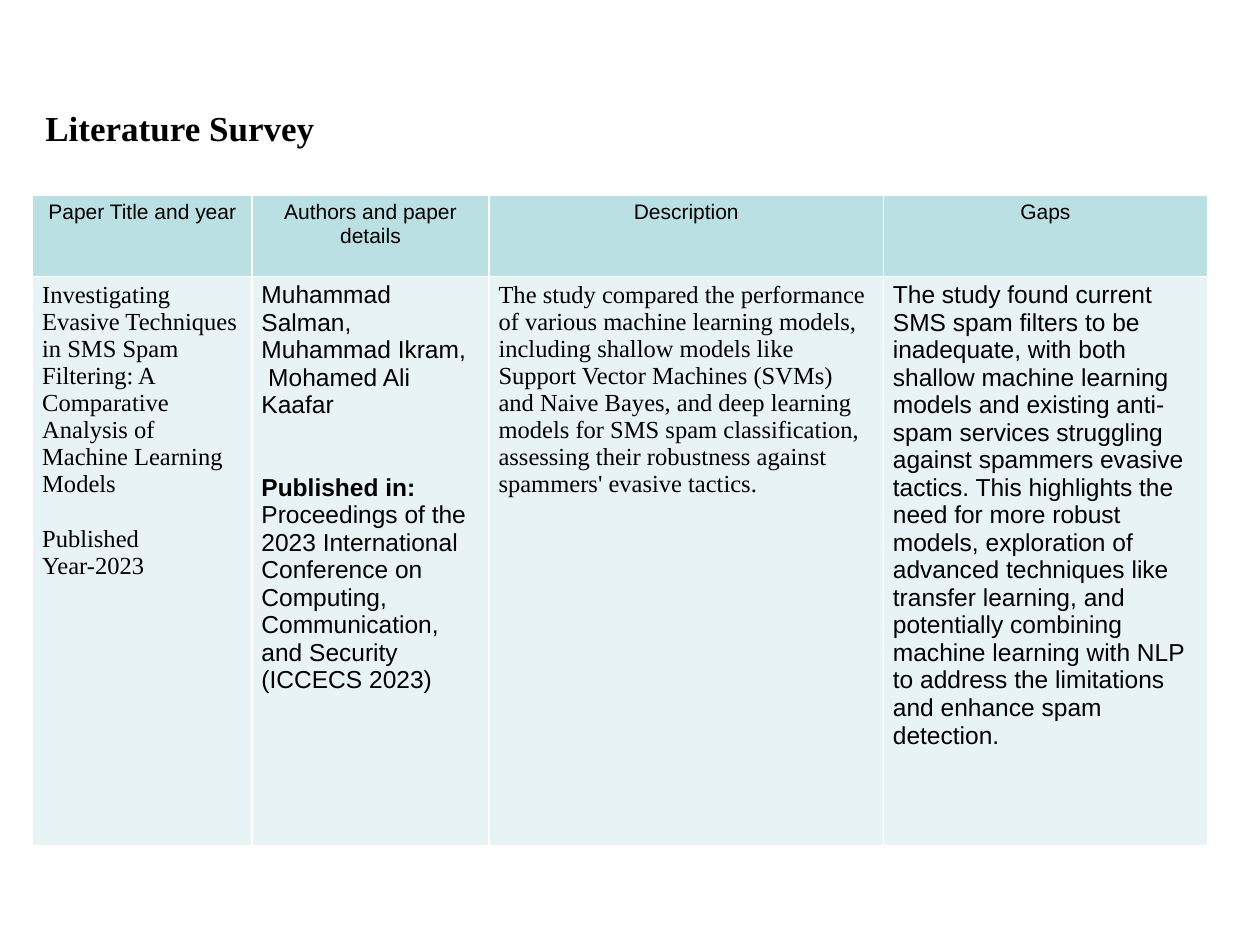
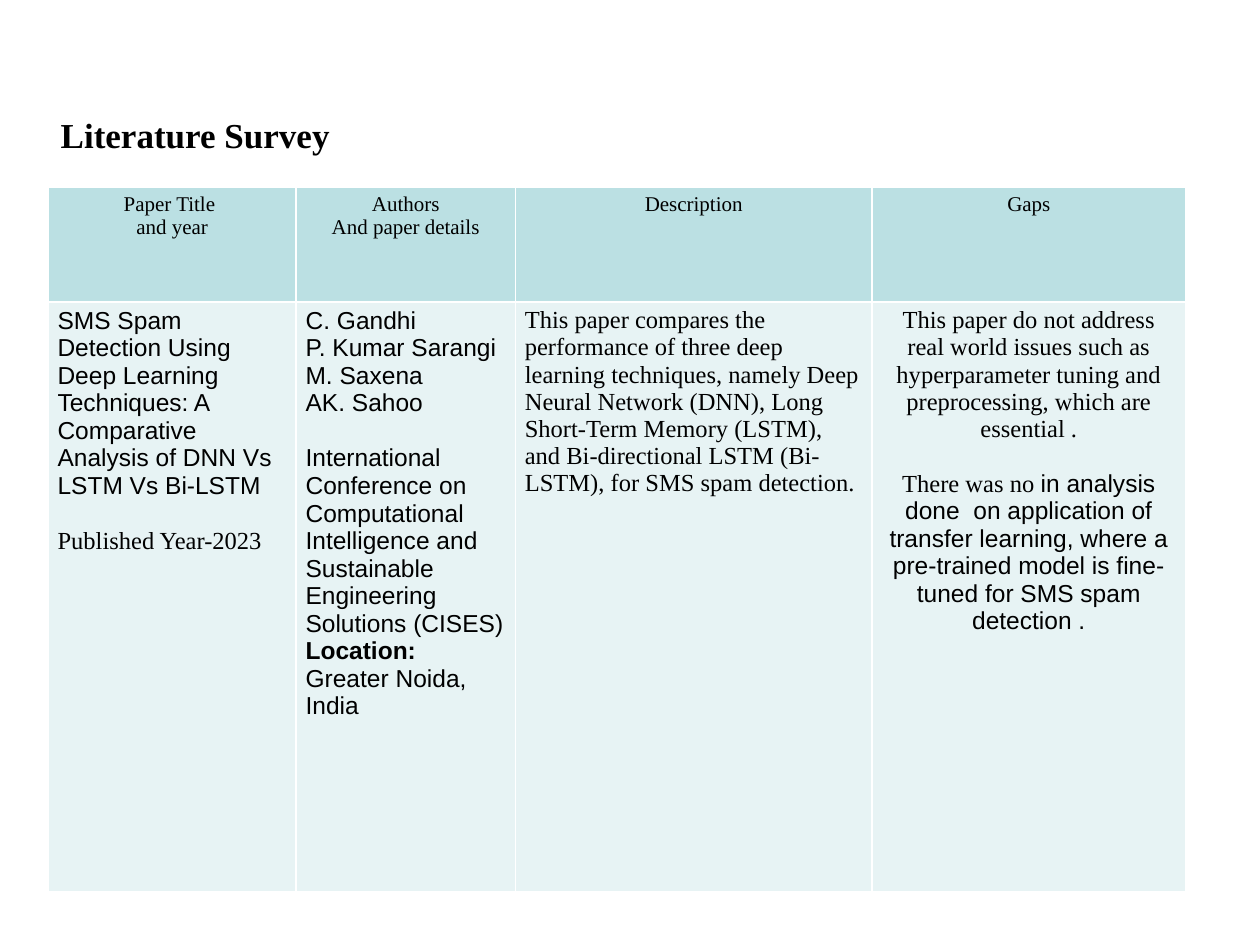
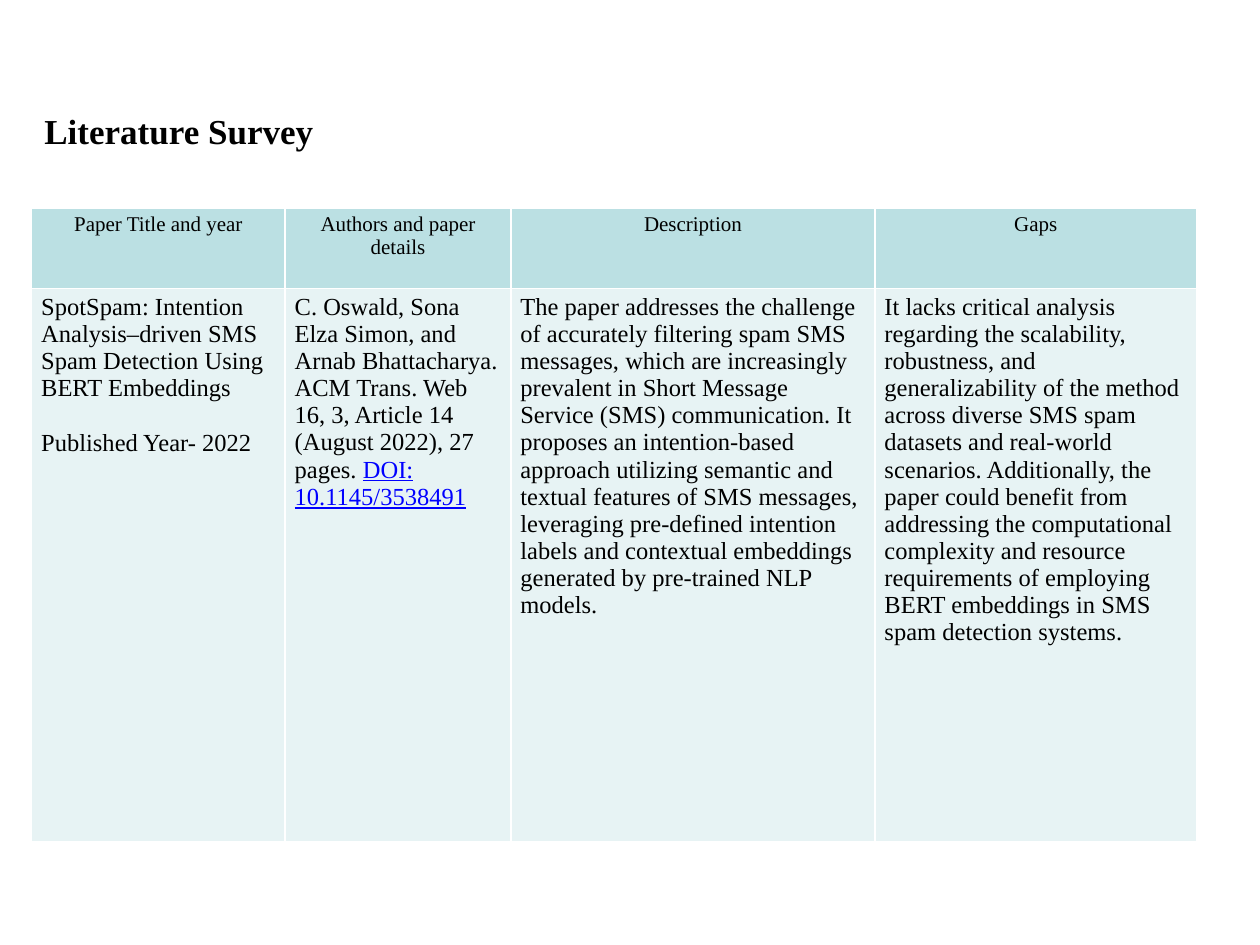
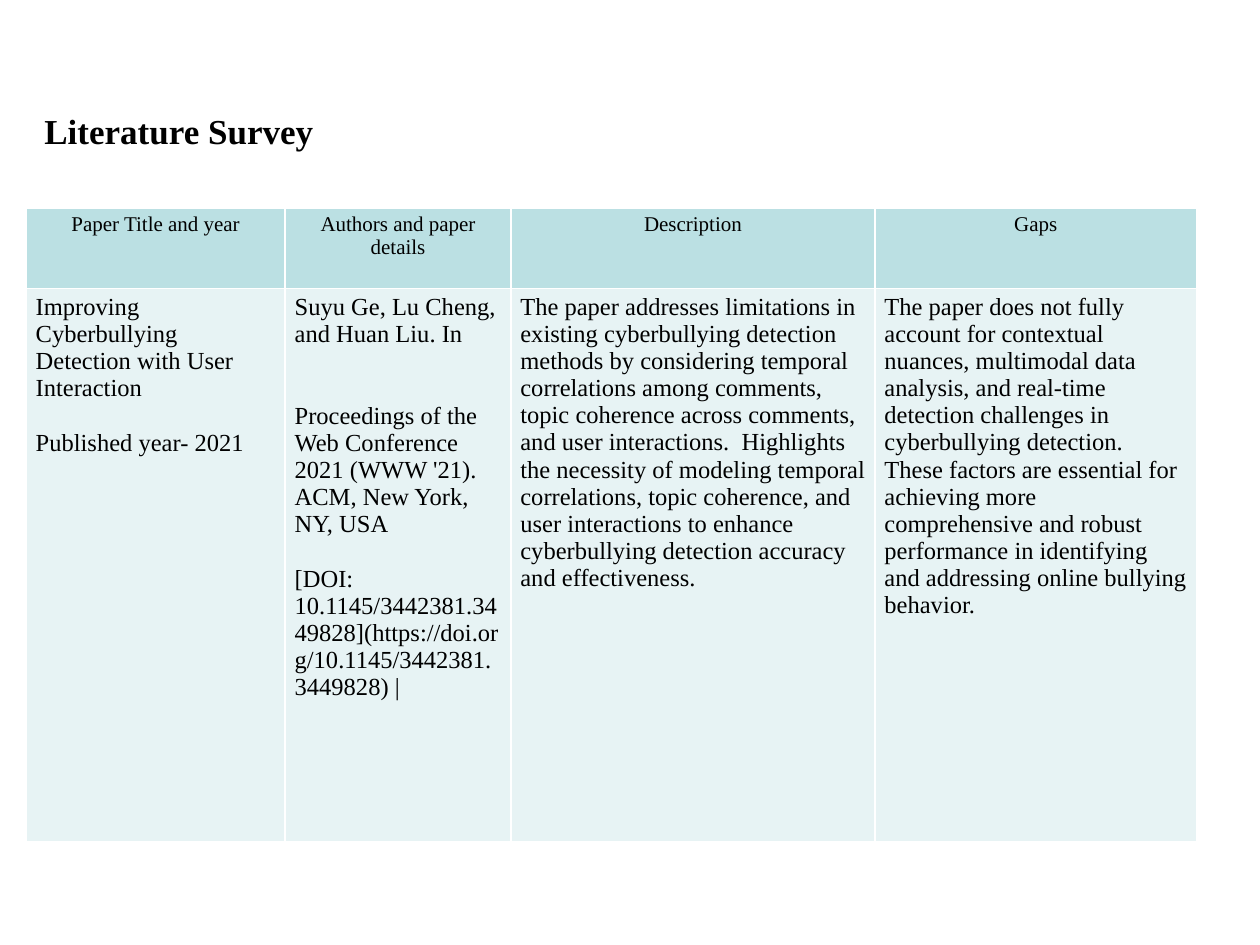
from dataclasses import dataclass

from lxml import etree
from pptx import Presentation
from pptx import util as u
from pptx.dml import color
from pptx.enum import text
from pptx.oxml import ns

HUES = {"ink": "000000", "head": "BBE0E3", "body": "E7F3F4", "rule": "FFFFFF", "link": "0000FF"}
SANS, SERIF = "Arial", "Times New Roman"
HEADS = ("Paper Title and year", "Authors and paper details", "Description", "Gaps")
LINE = 15.7


@dataclass
class Run:
    words: str
    font: str = SERIF
    bold: bool = False
    link: bool = False
    size: int = 14


@dataclass
class Para:
    runs: list[Run]
    gap: int = 0


@dataclass
class Entry:
    paras: list[Para]
    centred: bool = False


@dataclass
class Survey:
    title: tuple[float, float]
    place: tuple[float, float]
    cols: tuple[float, ...]
    rows: tuple[float, float]
    entries: list[Entry]
    heads: tuple[str, ...] = HEADS
    font: str = SERIF


def para(words: str, font: str = SERIF, gap: int = 0) -> Para:
    return Para([Run(words, font)], gap)


def entry(words: str, font: str = SERIF) -> Entry:
    return Entry([para(words, font)])


SURVEYS = [
    Survey(
        (0.66, 2.01), (0.66, 3.94), (4.42, 4.78, 7.95, 6.53), (1.63, 11.48),
        [
            Entry([
                para("Investigating Evasive Techniques in SMS Spam Filtering: A Comparative "
                     "Analysis of Machine Learning Models"),
                para("Published Year-2023", gap=1),
            ]),
            Entry([
                para("Muhammad Salman, Muhammad Ikram,", SANS),
                para(" Mohamed Ali Kaafar", SANS),
                Para([
                    Run("Published in:", SANS, bold=True),
                    Run(" Proceedings of the 2023 International Conference on Computing, "
                        "Communication, and Security (ICCECS 2023)", SANS),
                ], 2),
            ]),
            entry("The study compared the performance of various machine learning models, "
                  "including shallow models like Support Vector Machines (SVMs) and Naive "
                  "Bayes, and deep learning models for SMS spam classification, assessing "
                  "their robustness against spammers' evasive tactics."),
            entry("The study found current SMS spam filters to be inadequate, with both "
                  "shallow machine learning models and existing anti-spam services struggling "
                  "against spammers evasive tactics. This highlights the need for more robust "
                  "models, exploration of advanced techniques like transfer learning, and "
                  "potentially combining machine learning with NLP to address the limitations "
                  "and enhance spam detection.", SANS),
        ],
        font=SANS,
    ),
    Survey(
        (0.97, 2.16), (0.97, 3.78), (5.0, 4.42, 7.19, 6.32), (2.31, 11.89),
        [
            Entry([
                para("SMS Spam Detection Using Deep Learning Techniques: A Comparative "
                     "Analysis of DNN Vs LSTM Vs Bi-LSTM", SANS),
                para("Published Year-2023", gap=1),
            ]),
            Entry([
                *(para(name, SANS)
                  for name in ("C. Gandhi", "P. Kumar Sarangi", "M. Saxena", "AK. Sahoo")),
                para("International Conference on Computational Intelligence and Sustainable "
                     "Engineering Solutions (CISES)", SANS, 1),
                Para([
                    Run("Location:", SANS, bold=True),
                    Run(" Greater Noida, India", SANS),
                ]),
            ]),
            entry("This paper compares the performance of three deep learning techniques, "
                  "namely Deep Neural Network (DNN), Long Short-Term Memory (LSTM), and "
                  "Bi-directional LSTM (Bi-LSTM), for SMS spam detection."),
            Entry([
                para("This paper do not address"),
                para("real world issues such as hyperparameter tuning and preprocessing, "
                     "which are essential ."),
                Para([
                    Run("There was no "),
                    Run("in analysis done  on application of transfer learning, where a "
                        "pre-trained model is fine-tuned for SMS spam detection .", SANS),
                ], 1),
            ], centred=True),
        ],
        heads=("Paper Title \nand year", "Authors\nAnd paper details", *HEADS[2:]),
    ),
    Survey(
        (0.64, 2.08), (0.64, 4.19), (5.11, 4.55, 7.34, 6.48), (1.63, 11.15),
        [
            Entry([
                para("SpotSpam: Intention Analysis–driven SMS Spam Detection Using BERT "
                     "Embeddings"),
                para("Published Year- 2022", gap=1),
            ]),
            Entry([Para([
                Run("C. Oswald, Sona Elza Simon, and Arnab Bhattacharya. ACM Trans. Web 16, "
                    "3, Article 14 (August 2022), 27 pages. "),
                Run("DOI: 10.1145/3538491", link=True),
            ])]),
            entry("The paper addresses the challenge of accurately filtering spam SMS "
                  "messages, which are increasingly prevalent in Short Message Service (SMS) "
                  "communication. It proposes an intention-based approach utilizing semantic "
                  "and textual features of SMS messages, leveraging pre-defined intention "
                  "labels and contextual embeddings generated by pre-trained NLP models."),
            entry("It lacks critical analysis regarding the scalability, robustness, and "
                  "generalizability of the method across diverse SMS spam datasets and "
                  "real-world scenarios. Additionally, the paper could benefit from "
                  "addressing the computational complexity and resource requirements of "
                  "employing BERT embeddings in SMS spam detection systems."),
        ],
    ),
    Survey(
        (0.64, 2.08), (0.53, 4.19), (5.22, 4.55, 7.34, 6.48), (1.63, 11.15),
        [
            Entry([
                para("Improving Cyberbullying Detection with User Interaction"),
                para("Published year- 2021", gap=1),
            ]),
            Entry([
                para("Suyu Ge, Lu Cheng, and Huan Liu. In"),
                para("Proceedings of the Web Conference 2021 (WWW '21). ACM, New York, NY, "
                     "USA", gap=2),
                para("[DOI: 10.1145/3442381.3449828]"
                     "(https://doi.org/10.1145/3442381.3449828) |", gap=1),
            ]),
            entry("The paper addresses limitations in existing cyberbullying detection "
                  "methods by considering temporal correlations among comments, topic "
                  "coherence across comments, and user interactions.  Highlights the "
                  "necessity of modeling temporal correlations, topic coherence, and user "
                  "interactions to enhance cyberbullying detection accuracy and "
                  "effectiveness."),
            entry("The paper does not fully account for contextual nuances, multimodal data "
                  "analysis, and real-time detection challenges in cyberbullying detection. "
                  "These factors are essential for achieving more comprehensive and robust "
                  "performance in identifying and addressing online bullying behavior."),
        ],
    ),
]


def hue(name: str) -> color.RGBColor:
    return color.RGBColor.from_string(HUES[name])


def style(run, spec: Run) -> None:
    font = run.font
    font.name, font.size, font.bold = spec.font, u.Pt(spec.size), spec.bold
    font.color.rgb = hue("link" if spec.link else "ink")
    if spec.link:
        font.underline = True


def edge(cell) -> None:
    props = cell._tc.get_or_add_tcPr()
    for spot, side in enumerate(("lnL", "lnR", "lnT", "lnB")):
        line = etree.Element(ns.qn(f"a:{side}"), w=str(u.Pt(1)))
        fill = etree.SubElement(line, ns.qn("a:solidFill"))
        etree.SubElement(fill, ns.qn("a:srgbClr"), val=HUES["rule"])
        props.insert(spot, line)


def write(cell, data: Entry, shade: str) -> None:
    cell.margin_left = cell.margin_right = u.Cm(0.19)
    cell.margin_top = cell.margin_bottom = u.Cm(0.1)
    cell.fill.solid()
    cell.fill.fore_color.rgb = hue(shade)
    edge(cell)
    frame = cell.text_frame
    frame.text = "\n".join(part.runs[0].words for part in data.paras)
    for block, part in zip(frame.paragraphs, data.paras):
        block.alignment = text.PP_ALIGN.CENTER if data.centred else text.PP_ALIGN.LEFT
        if part.gap:
            block.space_before = u.Pt(part.gap * LINE)
        for spec in part.runs[1:]:
            block.add_run().text = spec.words
        for run, spec in zip(block.runs, part.runs):
            style(run, spec)


def name_slide(slide, place: tuple[float, float]) -> None:
    title = slide.shapes.title
    title.left, title.top = map(u.Cm, place)
    title.width, title.height = u.Cm(12.22), u.Cm(1.12)
    frame = title.text_frame
    frame.text = "Literature Survey"
    frame.word_wrap = True
    frame.auto_size = text.MSO_AUTO_SIZE.SHAPE_TO_FIT_TEXT
    frame.vertical_anchor = text.MSO_ANCHOR.TOP
    block = frame.paragraphs[0]
    block.alignment = text.PP_ALIGN.LEFT
    style(block.runs[0], Run(frame.text, bold=True, size=20))


def draw(slide, survey: Survey) -> None:
    name_slide(slide, survey.title)
    grid = slide.shapes.add_table(
        2, len(survey.cols), *map(u.Cm, survey.place),
        u.Cm(sum(survey.cols)), u.Cm(sum(survey.rows)),
    ).table
    grid.first_row = grid.horz_banding = False
    for col, width in zip(grid.columns, survey.cols):
        col.width = u.Cm(width)
    for row, height in zip(grid.rows, survey.rows):
        row.height = u.Cm(height)
    for spot, (head, data) in enumerate(zip(survey.heads, survey.entries)):
        lines = [Para([Run(line, survey.font, size=12)]) for line in head.split("\n")]
        write(grid.cell(0, spot), Entry(lines, centred=True), "head")
        write(grid.cell(1, spot), data, "body")


def main() -> None:
    deck = Presentation()
    deck.slide_width, deck.slide_height = u.Cm(25.4), u.Cm(19.05)
    for survey in SURVEYS:
        draw(deck.slides.add_slide(deck.slide_layouts[5]), survey)
    deck.save("out.pptx")


if __name__ == "__main__":
    main()
